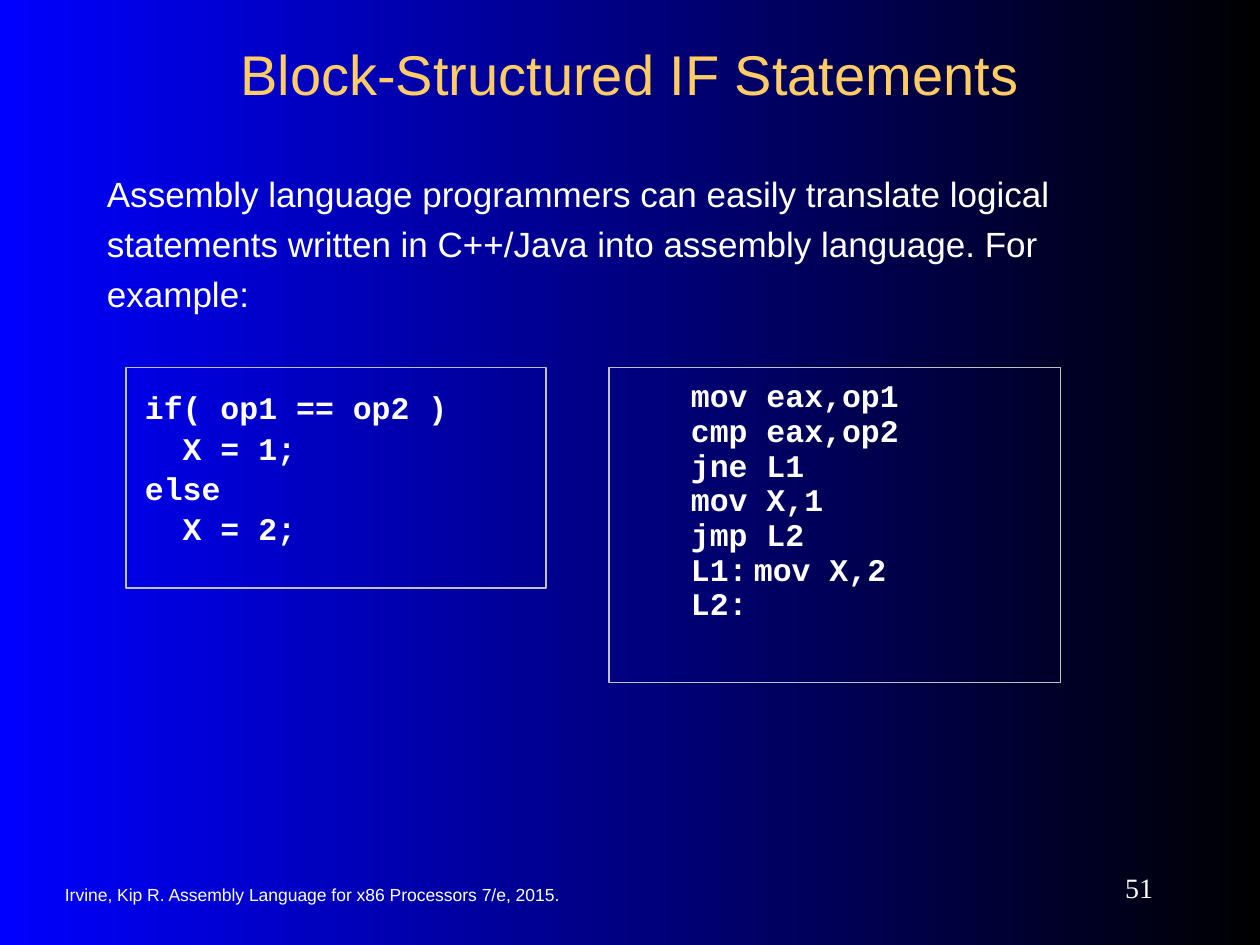
from dataclasses import dataclass

from lxml.etree import SubElement
from pptx import Presentation
from pptx.dml.color import RGBColor as Rgb
from pptx.enum.shapes import MSO_SHAPE as Shape
from pptx.enum.text import MSO_ANCHOR as Anchor, PP_ALIGN as Align
from pptx.oxml.ns import qn
from pptx.util import Inches, Pt


@dataclass(frozen=True)
class Theme:
    """Colours, fonts and type sizes of the slide."""
    glow: Rgb = Rgb(0, 0, 255)
    night: Rgb = Rgb(0, 0, 0)
    heading: Rgb = Rgb(0xFF, 0xCC, 0x66)
    text: Rgb = Rgb(255, 255, 255)
    frame: Rgb = Rgb(0xC0, 0xC0, 0xC0)
    sans: str = "Arial"
    serif: str = "Times New Roman"
    mono: str = "Courier New"
    title_size: int = 32
    body_size: int = 20
    code_size: int = 18
    number_size: int = 16
    credit_size: int = 10


THEME = Theme()
CELL = Inches(1) // 12


def grid(column, row, columns, rows):
    """Turn a box in grid cells into slide lengths."""
    return [round(part * CELL) for part in (column, row, columns, rows)]


def style(paragraph, font, size, color=THEME.text, bold=False):
    """Format every run of a paragraph."""
    for run in paragraph.runs:
        run.font.name, run.font.size = font, Pt(size)
        run.font.color.rgb, run.font.bold = color, bold


def add_background(slide):
    """Fill the slide with a gradient from left to right."""
    fill = slide.background.fill
    fill.gradient()
    fill.gradient_angle = 0
    for stop, color, position in zip(fill.gradient_stops, (THEME.glow, THEME.night), (0, 1)):
        stop.color.rgb, stop.position = color, position


def add_label(slide, box, wording, font, size, color=THEME.text,
              align=Align.LEFT, anchor=Anchor.MIDDLE):
    """Place one paragraph of text in a box and return the paragraph."""
    frame = slide.shapes.add_textbox(*box).text_frame
    frame.word_wrap, frame.vertical_anchor = True, anchor
    frame.text = wording
    paragraph = frame.paragraphs[0]
    paragraph.alignment = align
    style(paragraph, font, size, color)
    return paragraph


def add_intro(slide, box, wording):
    """Place the introduction with open line spacing."""
    intro = add_label(slide, box, wording, THEME.sans, THEME.body_size, anchor=Anchor.TOP)
    intro.line_spacing = 1.2
    intro.space_before = Pt(0.2 * THEME.body_size)


def indent_code(paragraph, indent):
    """Indent a code line and set a tab stop at twice the indent."""
    properties = paragraph._p.get_or_add_pPr()
    properties.set("marL", str(indent))
    properties.set("indent", "0")
    stops = SubElement(properties, qn("a:tabLst"))
    SubElement(stops, qn("a:tab"), pos=str(2 * indent), algn="l")


def add_code(slide, box, code, spacing, gap, indent=0):
    """Place a framed listing; gap is a share of the type size."""
    panel = slide.shapes.add_shape(Shape.RECTANGLE, *box)
    panel.shadow.inherit = False
    panel.fill.background()
    panel.line.color.rgb, panel.line.width = THEME.frame, Pt(0.75)
    frame = panel.text_frame
    frame.word_wrap, frame.vertical_anchor = True, Anchor.TOP
    frame.margin_left = frame.margin_right = Inches(0.15)
    frame.margin_top = frame.margin_bottom = Inches(0.2)
    frame.text = code
    for line in frame.paragraphs:
        line.alignment = Align.LEFT
        line.line_spacing = spacing
        line.space_before = Pt(gap * THEME.code_size)
        if indent:
            indent_code(line, indent)
        style(line, THEME.mono, THEME.code_size, bold=True)


def add_footer(slide, credit_box, number_box, credit, number):
    """Place the book credit and the slide number."""
    add_label(slide, credit_box, credit, THEME.sans, THEME.credit_size)
    add_label(slide, number_box, number, THEME.serif, THEME.number_size, align=Align.RIGHT)


def main():
    """Build and save the slide."""
    deck = Presentation()
    deck.slide_width, deck.slide_height = Inches(10), Inches(7.5)
    slide = deck.slides.add_slide(deck.slide_layouts[6])
    add_background(slide)
    add_footer(slide, grid(5, 83.2, 62, 4), grid(98, 82, 13, 5),
               "Irvine, Kip R. Assembly Language for x86 Processors 7/e, 2015.", "51")
    add_label(slide, grid(9, 3, 102, 8), "Block-Structured IF Statements",
              THEME.sans, THEME.title_size, THEME.heading, Align.CENTER)
    add_intro(slide, grid(9, 15, 102, 17),
              "Assembly language programmers can easily translate logical statements "
              "written in C++/Java into assembly language. For example:")
    assembly = ("mov eax,op1", "cmp eax,op2", "jne L1", "mov X,1", "jmp L2",
                "L1:\tmov X,2", "L2:")
    add_code(slide, grid(58, 35, 43, 30), "\n".join(assembly), 0.5, 0.5, Inches(0.5))
    source = ("if( op1 == op2 )", "  X = 1;", "else", "  X = 2;")
    add_code(slide, grid(12, 35, 40, 21), "\n".join(source), 0.9, 0.2)
    deck.save("out.pptx")


if __name__ == "__main__":
    main()
